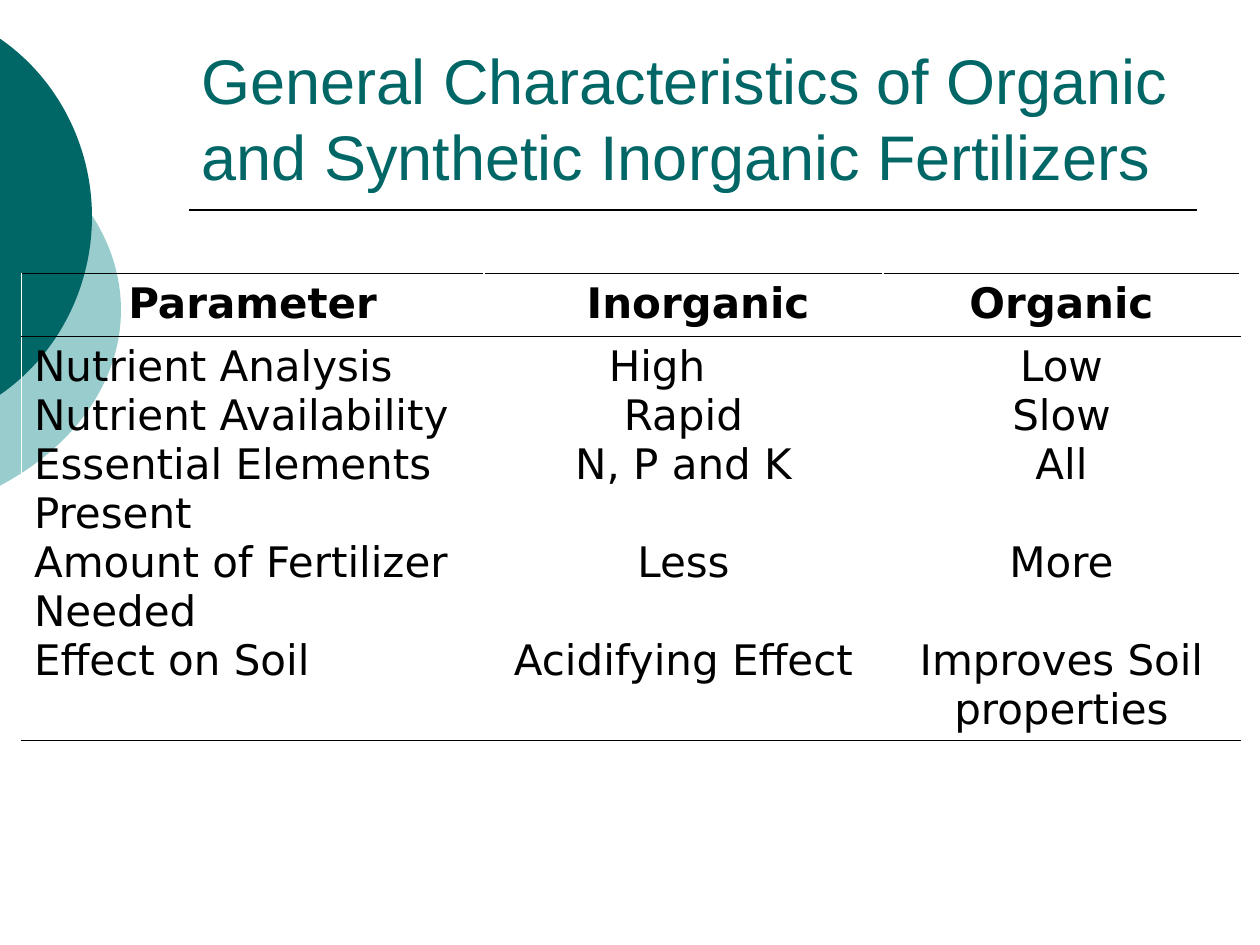
from lxml import etree
from pptx import Presentation
from pptx import util as u
from pptx.dml.color import RGBColor
from pptx.enum import shapes, text
from pptx.oxml import ns

COLORS = {"teal": "006666", "pale": "99CCCC", "black": "000000", "white": "FFFFFF"}
TITLE = "General Characteristics of Organic and Synthetic Inorganic Fertilizers"
HEADERS = ["Parameter", "Inorganic", "Organic"]
BODY = [
    ["Nutrient Analysis", "Nutrient Availability", "Essential Elements", "Present",
     "Amount of Fertilizer", "Needed", "Effect on Soil"],
    ["High", "Rapid", "N, P and K", "Less", "Acidifying Effect"],
    ["Low", "Slow", "All", "More", "Improves Soil properties"],
]
AFTER_GAP = {"Less", "Acidifying Effect", "More", "Improves Soil properties"}
MARGINS = {"Inorganic": (0.23, 0), "High": (0, 0.42)}
BORDERS = {"lnL": "white", "lnR": "white", "lnT": "black", "lnB": "black"}
LINE_HEIGHT = 28
LINE_WIDTH = 1.1


def color(name):
    return RGBColor.from_string(COLORS[name])


class SlideWriter:
    title_font = "Arial"
    table_font = "DejaVu Sans"

    def __init__(self, deck):
        self.page = deck.slides.add_slide(deck.slide_layouts[5])

    def arc(self, left, top, width, height, curve, fill):
        middle = curve[-1][1]
        mirrored = [(x, 2 * middle - y) for x, y in reversed(curve[:-1])]
        builder = self.page.shapes.build_freeform(u.Inches(left), u.Inches(top))
        builder.add_line_segments([(u.Inches(left + width), u.Inches(top + height))])
        shape = builder.convert_to_shape()
        outline = shape._element.spPr.find(".//" + ns.qn("a:path"))
        for child in list(outline):
            outline.remove(child)
        steps = [("moveTo", curve[:1]), ("cubicBezTo", curve[1:]),
                 ("cubicBezTo", mirrored), ("close", [])]
        for name, points in steps:
            step = etree.SubElement(outline, ns.qn(f"a:{name}"))
            for x, y in points:
                etree.SubElement(step, ns.qn("a:pt"),
                                 x=str(u.Inches(x - left)), y=str(u.Inches(y - top)))
        shape.shadow.inherit = False
        shape.fill.solid()
        shape.fill.fore_color.rgb = color(fill)
        shape.line.fill.background()

    def rule(self, left, right, y):
        line = self.page.shapes.add_connector(
            shapes.MSO_CONNECTOR.STRAIGHT,
            u.Inches(left), u.Inches(y), u.Inches(right), u.Inches(y))
        line.line.color.rgb = color("black")
        line.line.width = u.Pt(LINE_WIDTH)
        etree.SubElement(line._element.spPr, ns.qn("a:effectLst"))

    def style(self, para, name, size, ink, bold=False):
        para.font.name = name
        para.font.size = u.Pt(size)
        para.font.bold = bold
        para.font.color.rgb = color(ink)

    def title(self, words, left, top, width, height):
        box = self.page.shapes.title
        box.left, box.top = u.Inches(left), u.Inches(top)
        box.width, box.height = u.Inches(width), u.Inches(height)
        frame = box.text_frame
        frame.text = words
        frame.word_wrap = True
        frame.auto_size = text.MSO_AUTO_SIZE.NONE
        frame.vertical_anchor = text.MSO_ANCHOR.BOTTOM
        para = frame.paragraphs[0]
        para.alignment = text.PP_ALIGN.LEFT
        self.style(para, self.title_font, 36, "teal")

    def cell(self, cell, lines, centered, bold):
        properties = cell._tc.get_or_add_tcPr()
        for side, ink in BORDERS.items():
            border = etree.SubElement(properties, ns.qn(f"a:{side}"),
                                      w=str(u.Pt(LINE_WIDTH)))
            fill = etree.SubElement(border, ns.qn("a:solidFill"))
            etree.SubElement(fill, ns.qn("a:srgbClr"), val=COLORS[ink])
        cell.fill.background()
        cell.text = "\n".join(lines)
        for para, words in zip(cell.text_frame.paragraphs, lines):
            para.alignment = text.PP_ALIGN.CENTER if centered else text.PP_ALIGN.LEFT
            if words in AFTER_GAP:
                para.space_before = u.Pt(LINE_HEIGHT)
            for side, margin in zip(("marL", "marR"), MARGINS.get(words, (0, 0))):
                para._p.get_or_add_pPr().set(side, str(u.Inches(margin)))
            self.style(para, self.table_font, 24, "black", bold)

    def table(self, left, top, widths, heights):
        frame = self.page.shapes.add_table(
            len(heights), len(widths), u.Inches(left), u.Inches(top),
            u.Inches(sum(widths)), u.Inches(sum(heights)))
        table = frame.table
        table.first_row = table.horz_banding = False
        for row, height in zip(table.rows, heights):
            row.height = u.Inches(height)
        for index, width in enumerate(widths):
            table.columns[index].width = u.Inches(width)
            self.cell(table.cell(0, index), [HEADERS[index]], True, True)
            self.cell(table.cell(1, index), BODY[index], index > 0, False)


def main():
    deck = Presentation()
    deck.slide_width, deck.slide_height = u.Inches(10), u.Inches(7.5)
    writer = SlideWriter(deck)
    writer.arc(-3.54, 0.75, 4.5, 3.42,
               [(-0.01, 1.06), (0.6, 1.38), (0.96, 1.9), (0.96, 2.46)], "pale")
    writer.arc(-2.65, 0, 3.38, 3.45,
               [(-0.01, 0.3), (0.46, 0.62), (0.73, 1.16), (0.73, 1.72)], "teal")
    writer.rule(1.5, 9.5, 1.67)
    writer.title(TITLE, 1.5, 0.33, 8, 1.25)
    writer.table(0.17, 2.17, [3.67, 3.17, 2.83], [0.5, 3.2])
    deck.save("out.pptx")


if __name__ == "__main__":
    main()
